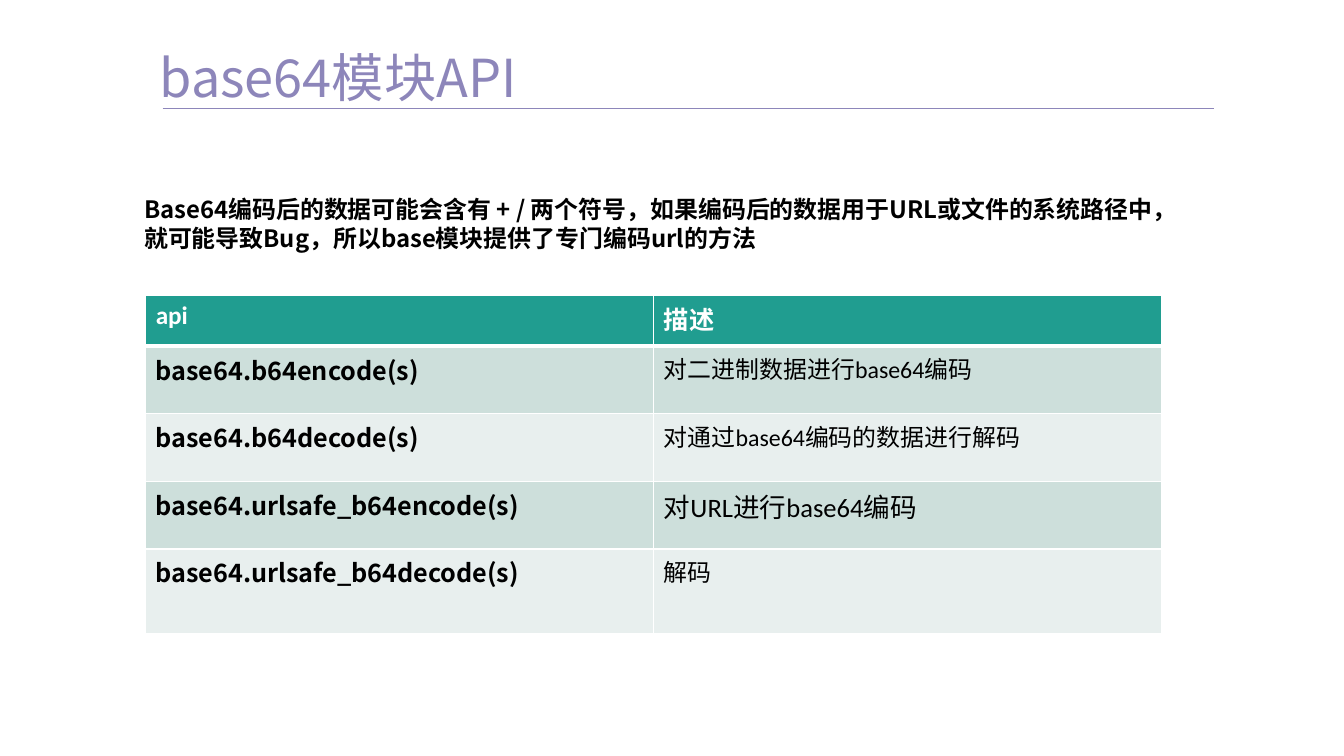
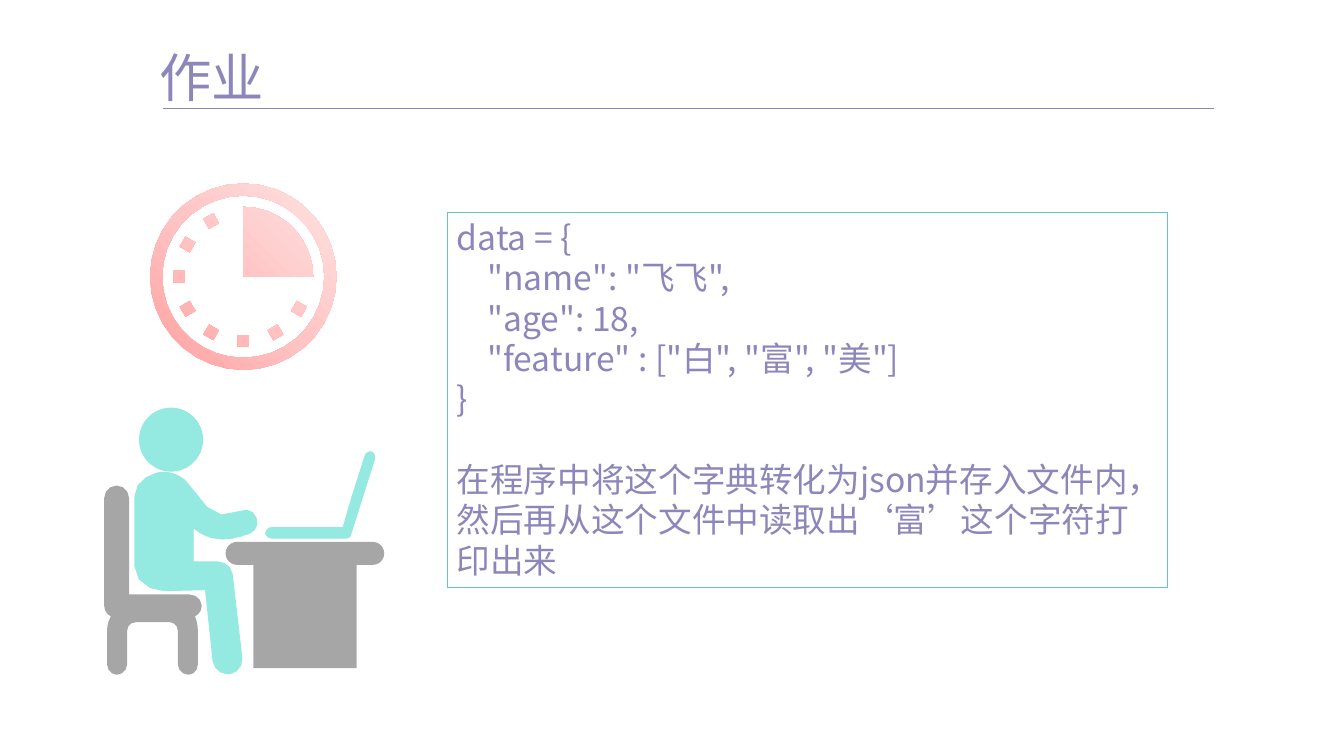
from copy import deepcopy
from dataclasses import dataclass
from math import cos, pi, sin

from lxml.etree import SubElement
from pptx import Presentation
from pptx.dml.color import RGBColor
from pptx.enum.shapes import MSO_CONNECTOR as Connector, MSO_SHAPE as Shape
from pptx.enum.text import MSO_ANCHOR as Anchor
from pptx.oxml.ns import qn
from pptx.util import Inches, Pt


@dataclass(frozen=True)
class Theme:
    purple: str = "8D86BA"
    black: str = "000000"
    white: str = "FFFFFF"
    header: str = "209D90"
    bands: tuple = ("CDDFDB", "E8EFEE")
    frame: str = "65C4CA"
    mint: str = "94E9E0"
    gray: str = "A6A6A6"
    clock: tuple = ((0, "FFA0A0"), (0.5, "FFC5C5"), (1, "FFE3E3"))
    sans: str = "Noto Sans CJK SC"
    latin: str = "Calibri"
    title_size: float = 39.4
    code_size: float = 25.3
    cell_size: float = 19
    body_size: float = 18
    line_height: float = 1.2


THEME = Theme()
WIDTH, HEIGHT = 14.06, 7.91

API_ROWS = (
    ("base64.b64encode(s)", "对二进制数据进行base64编码", 18),
    ("base64.b64decode(s)", "对通过base64编码的数据进行解码", 18),
    ("base64.urlsafe_b64encode(s)", "对URL进行base64编码", 20),
    ("base64.urlsafe_b64decode(s)", "解码", 18),
)
INTRO = (
    "Base64编码后的数据可能会含有 + / 两个符号，如果编码后的数据用于URL或文件的系统路径中，",
    "就可能导致Bug，所以base模块提供了专门编码url的方法",
)
CODE = (
    "data = {",
    "\"name\": \"飞飞\",",
    "\"age\": 18,",
    "\"feature\" : [\"白\", \"富\", \"美\"]",
    "}",
)
TASK = "在程序中将这个字典转化为json并存入文件内，然后再从这个文件中读取出‘富’这个字符打印出来"

FIGURE_UNITS = 293
BODY = (
    (134, 174), (133, 166, 126, 161, 119, 161), (93, 161), (93, 125),
    (101, 132, 111, 137, 124, 137), (132, 137, 141, 135, 152, 131),
    (158, 129, 162, 121, 159, 115), (157, 108, 149, 105, 143, 108),
    (117, 117, 112, 112, 89, 81), (85, 74, 77, 70, 70, 68),
    (66, 67, 59, 67, 55, 68), (44, 71, 32, 79, 32, 93), (32, 165),
    (32, 181, 48, 191, 63, 191), (106, 190), (114, 265),
    (115, 272, 122, 278, 129, 278), (131, 278),
    (139, 277, 145, 270, 144, 261),
)
CHAIR = (
    (102, 207), (102, 200, 96, 195, 89, 195), (26, 195), (26, 94),
    (26, 87, 20, 81, 13, 81), (6, 81, 0, 87, 0, 94), (0, 207),
    (0, 212, 3, 216, 7, 218), (4, 223, 3, 228, 3, 233), (3, 268),
    (3, 274, 8, 279, 13, 279), (19, 279, 24, 274, 24, 268), (24, 233),
    (24, 228, 28, 224, 33, 224), (69, 224), (73, 224, 77, 228, 77, 233),
    (77, 268), (77, 274, 82, 279, 88, 279), (94, 279, 98, 274, 98, 268),
    (98, 233), (98, 228, 97, 223, 95, 218), (99, 216, 102, 212, 102, 207),
)
LAPTOP = (
    (259, 94), (250, 125), (175, 125), (172, 125, 169, 128, 169, 131),
    (169, 133, 172, 136, 175, 136), (254, 136),
    (256, 136, 258, 134, 258, 132), (283, 53),
    (284, 50, 282, 47, 280, 46), (277, 45, 274, 47, 273, 50),
)


def rgb(color):
    return RGBColor.from_string(color)


def write(frame, text, *, size, color, font=THEME.sans, bold=False,
          first=False, indent=0, before=0, fixed=True):
    paragraph = frame.paragraphs[0] if first else frame.add_paragraph()
    if fixed:
        paragraph.line_spacing = Pt(round(size * THEME.line_height, 1))
    if before:
        paragraph.space_before = Pt(before)
    if indent:
        paragraph._p.get_or_add_pPr().set("marL", str(Inches(indent)))
    run = paragraph.add_run()
    run.text = text
    run.font.name = font
    run.font.size = Pt(size)
    run.font.bold = bold
    run.font.color.rgb = rgb(color)
    SubElement(run._r.get_or_add_rPr(), qn("a:ea"), typeface=THEME.sans)


def add_text_box(slide, box, inset=True):
    frame = slide.shapes.add_textbox(*map(Inches, box)).text_frame
    frame.word_wrap = True
    if not inset:
        frame.margin_left = frame.margin_right = 0
        frame.margin_top = frame.margin_bottom = 0
    return frame


def paint(shape, fill, line=None):
    shape.shadow.inherit = False
    shape.fill.solid()
    shape.fill.fore_color.rgb = rgb(fill)
    outline(shape, line)


def outline(shape, line):
    if line:
        shape.line.color.rgb = rgb(line)
        shape.line.width = Pt(0.75)
    else:
        shape.line.fill.background()


def add_preset(slide, kind, box, fill, line=None):
    shape = slide.shapes.add_shape(kind, *map(Inches, box))
    paint(shape, fill, line)
    return shape


def add_contours(slide, contours):
    contours = [[(Inches(x), Inches(y)) for x, y in points]
                for points in contours]
    builder = slide.shapes.build_freeform(*contours[0][0])
    for index, points in enumerate(contours):
        if index:
            builder.move_to(*points[0])
        builder.add_line_segments(points[1:], close=True)
    return builder.convert_to_shape()


def flatten(segments, steps=3):
    points = [segments[0]]
    for segment in segments[1:]:
        if len(segment) == 2:
            points.append(segment)
            continue
        controls = (points[-1], segment[:2], segment[2:4], segment[4:])
        for step in range(1, steps + 1):
            t = step / steps
            weights = ((1 - t) ** 3, 3 * t * (1 - t) ** 2,
                       3 * t * t * (1 - t), t ** 3)
            points.append(tuple(
                sum(weight * control[axis]
                    for weight, control in zip(weights, controls))
                for axis in (0, 1)))
    return points


def add_title(slide, text):
    left, bottom = 1.7, 1.13
    frame = add_text_box(slide, (1.67, 0.47, 4.33, 0.66), inset=False)
    frame.vertical_anchor = Anchor.MIDDLE
    write(frame, text, size=THEME.title_size, color=THEME.purple, first=True)
    rule = slide.shapes.add_connector(
        Connector.STRAIGHT, *map(Inches, (left, bottom, left + 11, bottom)))
    rule.line.color.rgb = rgb(THEME.purple)
    rule.line.width = Pt(0.5)
    SubElement(rule._element.spPr, qn("a:effectLst"))


def style_cell(cell, fill, bottom=1):
    cell.margin_left = cell.margin_right = Inches(0.11)
    properties = cell._tc.get_or_add_tcPr()
    for side, width in (("L", 1), ("R", 1), ("T", 1), ("B", bottom)):
        border = SubElement(properties, qn(f"a:ln{side}"), w=str(Pt(width)))
        paint_node = SubElement(border, qn("a:solidFill"))
        SubElement(paint_node, qn("a:srgbClr"), val=THEME.white)
    cell.fill.solid()
    cell.fill.fore_color.rgb = rgb(fill)


def add_api_table(slide, box):
    table = slide.shapes.add_table(
        len(API_ROWS) + 1, 2, *map(Inches, box)).table
    for column in table.columns:
        column.width = Inches(box[2] / 2)
    for row, share in zip(table.rows, (0.15, 0.2, 0.2, 0.2, 0.25)):
        row.height = Inches(box[3] * share)
    for column, text in enumerate(("api", "描述")):
        cell = table.cell(0, column)
        style_cell(cell, THEME.header, bottom=3)
        write(cell.text_frame, text, size=THEME.cell_size, color=THEME.white,
              font=THEME.latin, bold=True, first=True, fixed=False)
    for index, (name, description, size) in enumerate(API_ROWS):
        name_cell, description_cell = table.rows[index + 1].cells
        for cell in (name_cell, description_cell):
            style_cell(cell, THEME.bands[index % 2])
        write(name_cell.text_frame, name, size=THEME.cell_size,
              color=THEME.black, bold=True, first=True, fixed=False)
        write(description_cell.text_frame, description, size=size,
              color=THEME.black, font=THEME.latin, first=True, fixed=False)


def add_clock(slide, box):
    left, top, size, _ = box
    radius = size / 2
    center_x, center_y = left + radius, top + radius

    def polar(share, angle):
        return (center_x + radius * share * sin(angle),
                center_y - radius * share * cos(angle))

    def arc(share, end, steps):
        return [polar(share, end * step / steps) for step in range(steps + 1)]

    def tick(hour, half=0.06):
        angle = hour * pi / 6
        x, y = polar(0.69, angle)
        corners = ((-half, -half), (half, -half), (half, half), (-half, half))
        return [(x + a * cos(angle) - b * sin(angle),
                 y + a * sin(angle) + b * cos(angle)) for a, b in corners]

    contours = [arc(1, 2 * pi, 36), arc(0.87, -2 * pi, 36),
                [(center_x, center_y)] + arc(0.75, pi / 2, 9)]
    contours += [tick(hour) for hour in range(4, 12)]
    clock = add_contours(slide, contours)
    clock.shadow.inherit = False
    outline(clock, None)
    clock.fill.gradient()
    clock.fill.gradient_angle = 45
    stops = clock._element.spPr.find(qn("a:gradFill")).find(qn("a:gsLst"))
    stops.append(deepcopy(stops[-1]))
    for stop, (position, color) in zip(clock.fill.gradient_stops, THEME.clock):
        stop.position = position
        stop.color.rgb = rgb(color)


def add_desk_worker(slide, box):
    left, top, width, _ = box
    unit = width / FIGURE_UNITS

    def place(x, y, w, h):
        return left + x * unit, top + y * unit, w * unit, h * unit

    def add_outline(segments, fill, line=None):
        points = [place(x, y, 0, 0)[:2] for x, y in flatten(segments)]
        paint(add_contours(slide, [points]), fill, line)

    add_preset(slide, Shape.OVAL, place(37, 0, 66, 66), THEME.mint, THEME.mint)
    add_outline(BODY, THEME.mint, THEME.mint)
    add_outline(CHAIR, THEME.gray)
    add_preset(slide, Shape.RECTANGLE, place(156, 160, 108, 112), THEME.gray)
    desk_top = add_preset(slide, Shape.ROUNDED_RECTANGLE,
                          place(127, 140, 166, 24), THEME.gray)
    desk_top.adjustments[0] = 0.5
    add_outline(LAPTOP, THEME.mint, THEME.mint)


def add_task_panel(slide, box):
    panel = slide.shapes.add_shape(Shape.RECTANGLE, *map(Inches, box))
    panel.shadow.inherit = False
    panel.fill.background()
    outline(panel, THEME.frame)
    frame = panel.text_frame
    frame.word_wrap = True
    frame.vertical_anchor = Anchor.TOP
    frame.margin_right = Inches(0.33)
    style = {"size": THEME.code_size, "color": THEME.purple}
    for index, line in enumerate(CODE):
        inside = 0 < index < len(CODE) - 1
        write(frame, line, first=index == 0, indent=0.32 * inside, **style)
    write(frame, TASK, before=30.4, **style)
    for paragraph in frame.paragraphs:
        paragraph._p.get_or_add_pPr().set("algn", "l")


def build_api_slide(slide):
    add_title(slide, "base64模块API")
    frame = add_text_box(slide, (1.41, 1.99, 10.9, 0.71))
    for index, line in enumerate(INTRO):
        write(frame, line, size=THEME.body_size, color=THEME.black,
              bold=True, first=index == 0)
    add_api_table(slide, (1.52, 3.09, 10.63, 3.54))


def build_homework_slide(slide):
    add_title(slide, "作业")
    add_desk_worker(slide, (1.09, 4.27, 2.93, 2.79))
    add_clock(slide, (1.57, 1.92, 1.95, 1.95))
    add_task_panel(slide, (4.68, 2.22, 7.53, 3.93))


def main():
    presentation = Presentation()
    presentation.slide_width = Inches(WIDTH)
    presentation.slide_height = Inches(HEIGHT)
    blank = presentation.slide_layouts[6]
    for build in (build_api_slide, build_homework_slide):
        build(presentation.slides.add_slide(blank))
    presentation.save("out.pptx")


if __name__ == "__main__":
    main()
